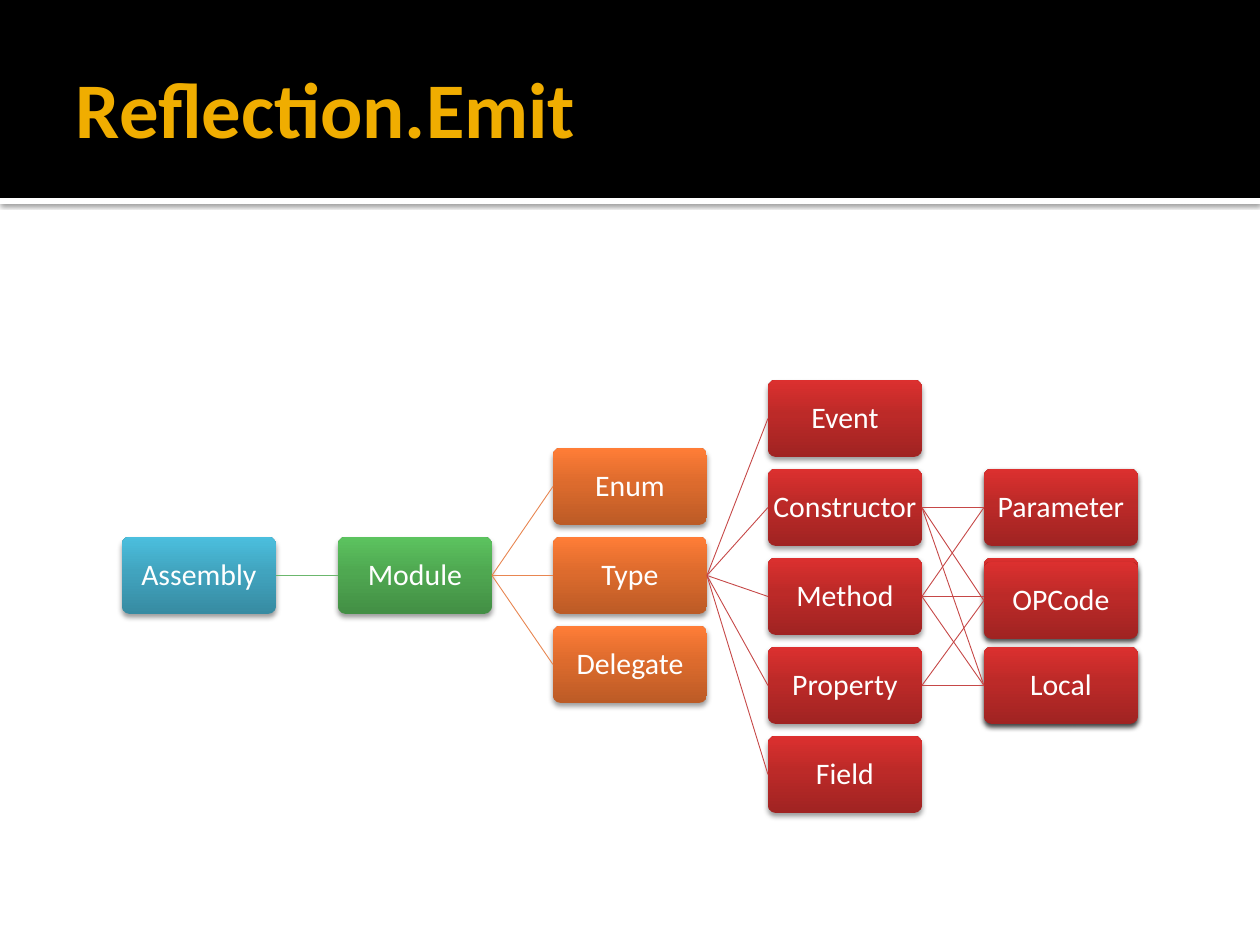
from dataclasses import dataclass

from lxml.etree import SubElement
from pptx import Presentation
from pptx.dml.color import RGBColor
from pptx.enum.shapes import MSO_CONNECTOR, MSO_SHAPE
from pptx.enum.text import MSO_ANCHOR, PP_ALIGN
from pptx.oxml.ns import qn
from pptx.util import Emu, Pt

PX = 914400 // 126
TOP_SIDE_LEFT, TOP_SIDE_RIGHT = 1, 3


@dataclass(frozen=True)
class Theme:
    font: str = "Calibri"
    title_size: int = 45
    node_size: int = 17
    band: str = "000000"
    paper: str = "FFFFFF"
    title: str = "F0AD00"
    shadow: str = "000000"
    # Gradients run from bottom to top
    blue: tuple = ("378BA2", "41A4BF", "4BBFDE")
    green: tuple = ("438F45", "4FA851", "5CC35F")
    orange: tuple = ("BC5B26", "DD6B2D", "FF7D37")
    red: tuple = ("A02322", "BC2A28", "DC302F")
    green_line: str = "6BB76D"
    orange_line: str = "E88651"
    red_line: str = "C64847"


THEME = Theme()


def px(*lengths):
    return [Emu(length * PX) for length in lengths]


def rgb(code):
    return RGBColor.from_string(code)


def add_shadow(shape, opacity, blur, distance):
    """Drop a soft shadow straight down; blur and distance are in points."""
    shape.shadow.inherit = False
    effects = shape._element.spPr.find(qn("a:effectLst"))
    outer = SubElement(effects, qn("a:outerShdw"), blurRad=str(Pt(blur)),
                       dist=str(Pt(distance)), dir="5400000",
                       algn="ctr", rotWithShape="0")
    color = SubElement(outer, qn("a:srgbClr"), val=THEME.shadow)
    SubElement(color, qn("a:alpha"), val=str(opacity * 1000))


def fill_gradient(shape, colors):
    shape.fill.gradient()
    shape.fill.gradient_angle = 90
    stops = shape._element.spPr.find(qn("a:gradFill")).find(qn("a:gsLst"))
    for stop in list(stops):
        stops.remove(stop)
    for position, code in zip((0, 55, 100), colors):
        stop = SubElement(stops, qn("a:gs"), pos=str(position * 1000))
        SubElement(stop, qn("a:srgbClr"), val=code)


def write(shape, text, size, color, insets, bold=False, align=PP_ALIGN.LEFT):
    frame = shape.text_frame
    frame.word_wrap = True
    frame.vertical_anchor = MSO_ANCHOR.MIDDLE
    (frame.margin_left, frame.margin_top,
     frame.margin_right, frame.margin_bottom) = px(*insets)
    para = frame.paragraphs[0]
    para.text = text
    para.alignment = align
    para.font.name = THEME.font
    para.font.size = Pt(size)
    para.font.bold = bold
    para.font.color.rgb = rgb(color)
    return para


def add_bar(page, left, top, width, height, color):
    bar = page.shapes.add_shape(MSO_SHAPE.RECTANGLE, *px(left, top, width, height))
    bar.fill.solid()
    bar.fill.fore_color.rgb = rgb(color)
    bar.line.fill.background()
    bar.shadow.inherit = False
    return bar


def add_header(page, left, top, width, height, text):
    # White rule under the black band
    rule = add_bar(page, left, top + height, width, 6, THEME.paper)
    add_shadow(rule, 60, 2.5, 0.8)
    add_bar(page, left, top, width, height, THEME.band)
    # Title
    box = page.shapes.add_textbox(*px(left + 63, top + 21, width - 126, height - 25))
    write(box, text, THEME.title_size, THEME.title, (13, 6, 6, 6), bold=True)


def add_node(page, left, top, width, height, text, colors, opacity=38):
    node = page.shapes.add_shape(MSO_SHAPE.ROUNDED_RECTANGLE,
                                 *px(left, top, width, height))
    node.adjustments[0] = 0.1
    fill_gradient(node, colors)
    node.line.fill.background()
    add_shadow(node, opacity, 3.1, 2)
    if text:
        para = write(node, text, THEME.node_size, THEME.paper, (1, 1, 1, 1),
                     align=PP_ALIGN.CENTER)
        para.line_spacing = 0.9
    return node


def add_link(page, parent, child, color):
    link = page.shapes.add_connector(MSO_CONNECTOR.STRAIGHT, 0, 0, 0, 0)
    link.begin_connect(parent, TOP_SIDE_RIGHT)
    link.end_connect(child, TOP_SIDE_LEFT)
    link.line.color.rgb = rgb(color)
    link.line.width = Pt(0.5)
    SubElement(link._element.spPr, qn("a:effectLst"))


def add_hierarchy(page, left, top, width, height):
    node_width, node_height = 154, 77
    column_step = (width - node_width) / 4
    row_step = (height - node_height) // 4
    type_top = 157

    def place(column, offset, text, colors, opacity=38):
        return add_node(page, left + round(column * column_step), top + offset,
                        node_width, node_height, text, colors, opacity)

    # Assembly, module and types
    assembly = place(0, type_top, "Assembly", THEME.blue)
    module = place(1, type_top, "Module", THEME.green)
    types = [place(2, type_top + row * row_step, name, THEME.orange)
             for row, name in zip((-1, 0, 1), ("Enum", "Type", "Delegate"))]

    # Members of a type
    members = [place(3, row * row_step, name, THEME.red) for row, name in
               enumerate(("Event", "Constructor", "Method", "Property", "Field"))]
    _, constructor, method, prop, _ = members

    # Parts of a member; a second plate peeks out above OPCode
    parameter = place(4, row_step, "Parameter", THEME.red, 62)
    plate = place(4, 2 * row_step, "", THEME.red)
    opcode = place(4, 2 * row_step + 4, "OPCode", THEME.red, 62)
    local = place(4, 3 * row_step, "Local", THEME.red, 76)

    # Links from each parent to its children
    families = (
        (assembly, [module], THEME.green_line),
        (module, types, THEME.orange_line),
        (types[1], members, THEME.red_line),
        (constructor, [parameter, opcode, local], THEME.red_line),
        (method, [parameter, plate, local], THEME.red_line),
        (prop, [opcode, local], THEME.red_line),
    )
    for parent, children, color in families:
        for child in children:
            add_link(page, parent, child, color)


def main():
    deck = Presentation()
    deck.slide_width, deck.slide_height = px(1260, 945)
    page = deck.slides.add_slide(deck.slide_layouts[6])
    page.background.fill.solid()
    page.background.fill.fore_color.rgb = rgb(THEME.paper)
    add_header(page, 0, 0, 1260, 198, "Reflection.Emit")
    add_hierarchy(page, 122, 380, 1016, 433)
    deck.save("out.pptx")


if __name__ == "__main__":
    main()
